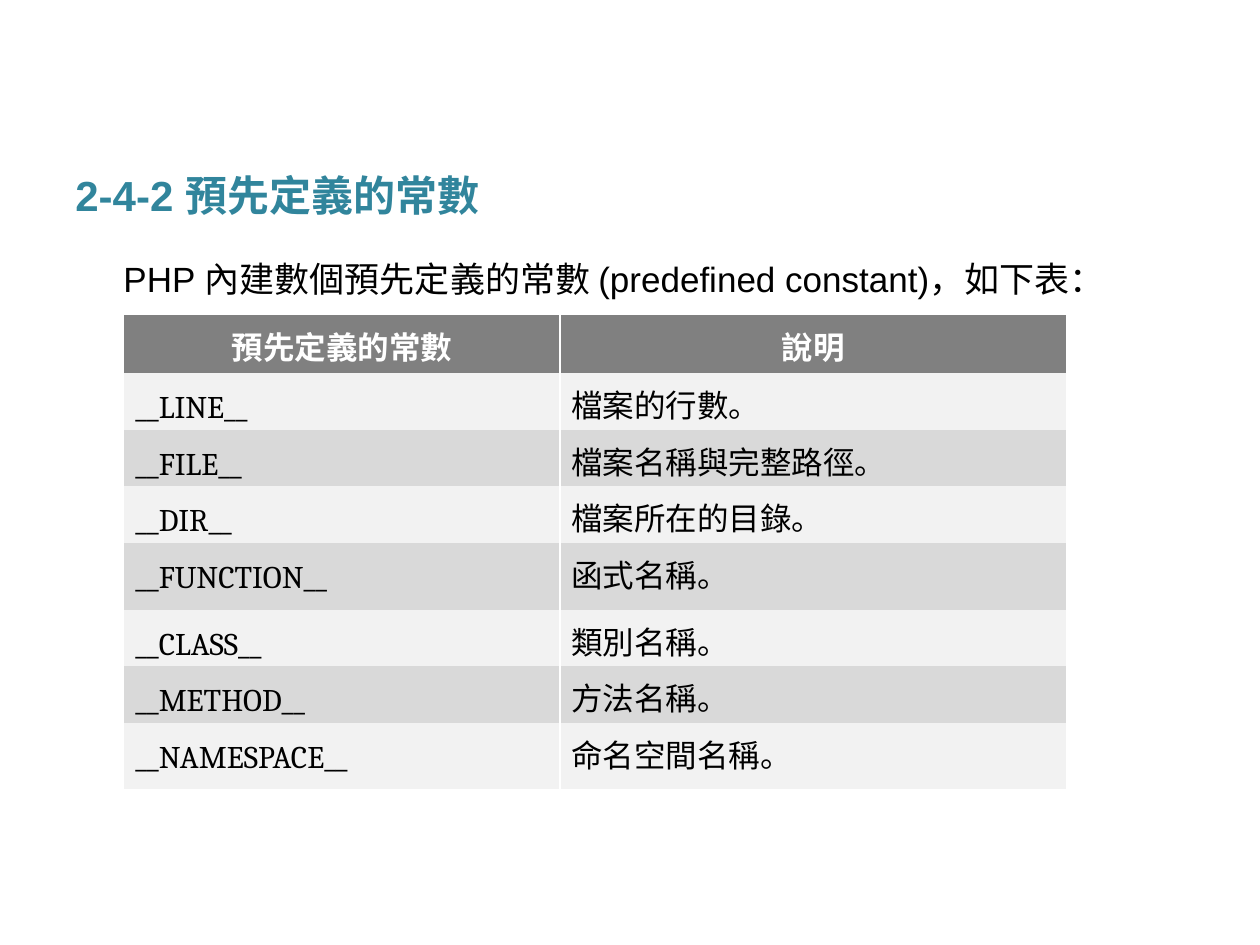
import pptx
import pptx.dml.color
import pptx.enum.text
import pptx.oxml
import pptx.oxml.ns
import pptx.util

Cm = pptx.util.Cm
Pt = pptx.util.Pt
RGBColor = pptx.dml.color.RGBColor
ALIGN = pptx.enum.text.PP_ALIGN
ANCHOR = pptx.enum.text.MSO_ANCHOR

TEAL = RGBColor(0x31, 0x85, 0x9C)
BLACK = RGBColor(0, 0, 0)
WHITE = RGBColor(0xFF, 0xFF, 0xFF)
HEADER_GREY = RGBColor(0x80, 0x80, 0x80)
BANDS = (RGBColor(0xF2, 0xF2, 0xF2), RGBColor(0xD9, 0xD9, 0xD9))
NO_STYLE = "{2D5ABB26-0587-4C30-8999-92F81FD0307C}"

HEADER = ("預先定義的常數", "說明")
CONSTANTS = [
    ("__LINE__", "檔案的行數。"),
    ("__FILE__", "檔案名稱與完整路徑。"),
    ("__DIR__", "檔案所在的目錄。"),
    ("__FUNCTION__", "函式名稱。"),
    ("__CLASS__", "類別名稱。"),
    ("__METHOD__", "方法名稱。"),
    ("__NAMESPACE__", "命名空間名稱。"),
]
COLUMN_WIDTHS = (8.79, 10.21)
ROW_HEIGHTS = (1.17, 1.14, 1.14, 1.14, 1.35, 1.14, 1.14, 1.35)


def write(tf, text, font, size, color, bold=False, align=ALIGN.JUSTIFY):
    """Fill a text frame with one formatted paragraph."""
    p = tf.paragraphs[0]
    p.text = text
    p.alignment = align
    r = p.runs[0]
    r.font.name = font
    r.font.size = Pt(size)
    r.font.bold = bold
    r.font.color.rgb = color
    return p


def add_text(s, box, text, size, color, bold=False, anchor=ANCHOR.TOP):
    tf = s.shapes.add_textbox(*(Cm(v) for v in box)).text_frame
    tf.word_wrap = True
    tf.vertical_anchor = anchor
    return write(tf, text, "Arial", size, color, bold)


def add_border(cell, side):
    """Draw a white line on one side of a cell; it must precede the fill."""
    ns = pptx.oxml.ns.nsdecls("a")
    line = pptx.oxml.parse_xml(
        f'<a:{side} {ns} w="12700"><a:solidFill><a:srgbClr val="{WHITE}"/>'
        f"</a:solidFill></a:{side}>")
    cell._tc.get_or_add_tcPr().insert(0, line)


def add_constants_table(s, left, top):
    rows = [HEADER] + CONSTANTS
    table = s.shapes.add_table(
        len(rows), len(HEADER), Cm(left), Cm(top),
        Cm(sum(COLUMN_WIDTHS)), Cm(sum(ROW_HEIGHTS))).table
    table._tbl.tblPr.find(pptx.oxml.ns.qn("a:tableStyleId")).text = NO_STYLE
    for column, width in zip(table.columns, COLUMN_WIDTHS):
        column.width = Cm(width)
    for i, (row, height) in enumerate(zip(table.rows, ROW_HEIGHTS)):
        row.height = Cm(height)
        is_header = i == 0
        for j, cell in enumerate(row.cells):
            cell.margin_left = Cm(0 if is_header else 0.23)
            cell.margin_right = cell.margin_bottom = 0
            cell.margin_top = Cm(0.62)
            cell.fill.solid()
            cell.fill.fore_color.rgb = HEADER_GREY if is_header else BANDS[(i - 1) % 2]
            add_border(cell, "lnR" if j == 0 else "lnL")
            p = write(cell.text_frame, rows[i][j], "Cambria", 18,
                      WHITE if is_header else BLACK, is_header,
                      ALIGN.CENTER if is_header else ALIGN.JUSTIFY)
            p.line_spacing = Pt(13)


def main():
    prs = pptx.Presentation()
    prs.slide_width, prs.slide_height = Cm(25.4), Cm(19.05)
    s = prs.slides.add_slide(prs.slide_layouts[6])

    # Section title
    add_text(s, (1.27, 2.9, 22.86, 2.06), "2-4-2 預先定義的常數", 24, TEAL,
             bold=True, anchor=ANCHOR.MIDDLE)
    # Introductory sentence
    add_text(s, (2.24, 5.06, 21.89, 1.2),
             "PHP 內建數個預先定義的常數 (predefined constant)，如下表：", 20, BLACK)
    # Table of constants
    add_constants_table(s, 2.5, 6.35)

    prs.save("out.pptx")


if __name__ == "__main__":
    main()
